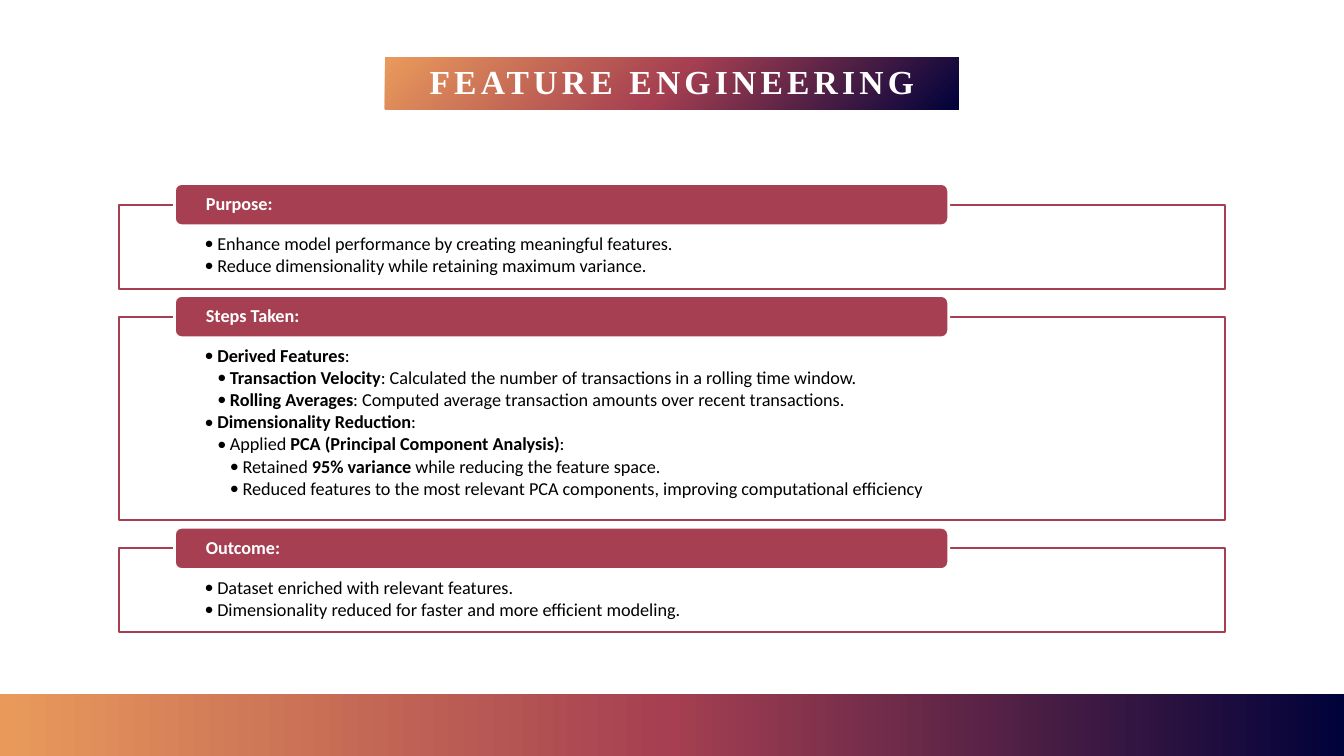
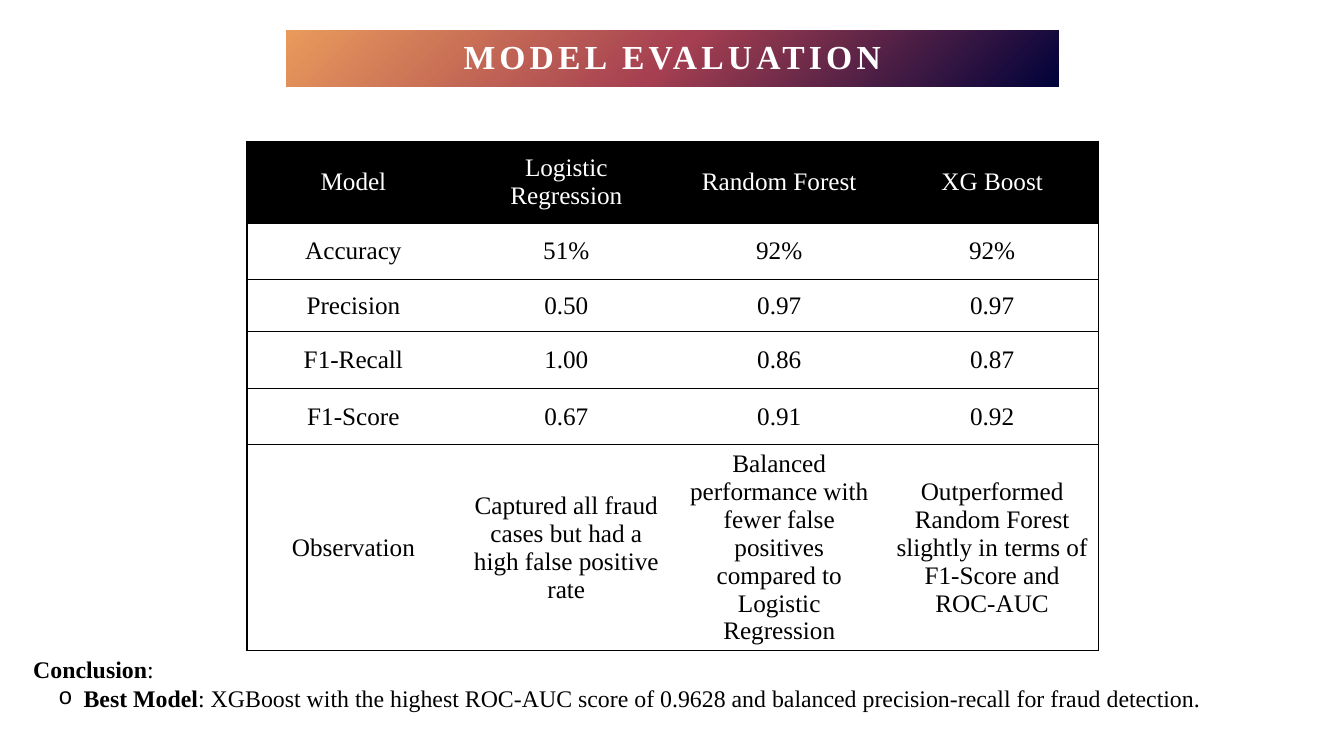
from dataclasses import dataclass
from typing import Optional

from lxml.etree import SubElement
from pptx import Presentation
from pptx.dml.color import RGBColor
from pptx.enum.shapes import MSO_SHAPE as Shape
from pptx.enum.text import MSO_ANCHOR as Anchor, PP_ALIGN as Align
from pptx.oxml import parse_xml
from pptx.oxml.ns import nsdecls, qn
from pptx.util import Pt

COLOURS = {"navy": "00023A", "wine": "A53F51", "amber": "E99A5B",
           "white": "FFFFFF", "black": "000000"}
GRADIENT_STOPS = (("navy", 0), ("wine", 50), ("amber", 100))
LEFTWARD = '<a:lin ang="10800000" scaled="0"/>'
FROM_CORNER = '<a:path path="circle"><a:fillToRect l="100000" t="100000"/></a:path>'
SANS, SERIF = "Calibri", "Times New Roman"
SLIDE_WIDTH, SLIDE_HEIGHT = 960, 540


@dataclass(frozen=True)
class Area:
    left: float
    top: float
    width: float
    height: float

    def lengths(self) -> tuple:
        return Pt(self.left), Pt(self.top), Pt(self.width), Pt(self.height)


@dataclass(frozen=True)
class Style:
    font: str
    size: float
    colour: str = "black"
    bold: bool = False
    spacing: float = 0


@dataclass(frozen=True)
class Bullet:
    char: str
    margin: float
    hang: float
    font: str


@dataclass(frozen=True)
class Line:
    level: int
    text: str  # parts between ** are bold


@dataclass(frozen=True)
class Panel:
    heading: str
    height: float
    lines: tuple


TITLE = Style(SERIF, 24, "white", bold=True, spacing=3)
HEADING = Style(SANS, 13, "white", bold=True)
BODY = Style(SANS, 13)
HEADER_CELL = Style(SERIF, 18, "white")
CELL = Style(SERIF, 18)
CONCLUSION = Style(SERIF, 17)

PANELS = (
    Panel("Purpose:", 60, (
        Line(1, "Enhance model performance by creating meaningful features."),
        Line(1, "Reduce dimensionality while retaining maximum variance."),
    )),
    Panel("Steps Taken:", 145.5, (
        Line(1, "**Derived Features**:"),
        Line(2, "**Transaction Velocity**: Calculated the number of transactions "
                "in a rolling time window."),
        Line(2, "**Rolling Averages**: Computed average transaction amounts "
                "over recent transactions."),
        Line(1, "**Dimensionality Reduction**:"),
        Line(2, "Applied **PCA (Principal Component Analysis)**:"),
        Line(3, "Retained **95% variance** while reducing the feature space."),
        Line(3, "Reduced features to the most relevant PCA components, "
                "improving computational efficiency"),
    )),
    Panel("Outcome:", 60, (
        Line(1, "Dataset enriched with relevant features."),
        Line(1, "Dimensionality reduced for faster and more efficient modeling."),
    )),
)
PANEL_LEFT, PANEL_TOP, PANEL_WIDTH, PANEL_GAP = 85, 146.2, 790, 20
TAB_LEFT, TAB_WIDTH, TAB_HEIGHT = 124.6, 553, 30.2

RESULTS = (
    ("Model", "Logistic Regression", "Random Forest", "XG Boost"),
    ("Accuracy", "51%", "92%", "92%"),
    ("Precision", "0.50", "0.97", "0.97"),
    ("F1-Recall", "1.00", "0.86", "0.87"),
    ("F1-Score", "0.67", "0.91", "0.92"),
    ("Observation",
     "Captured all fraud cases but had a high false positive rate",
     "Balanced performance with fewer false positives compared to Logistic Regression",
     "Outperformed Random Forest slightly in terms of F1-Score and ROC-AUC"),
)
ROW_HEIGHTS = (58.5, 40.5, 37, 40.5, 40.5, 147)
TABLE_AREA = Area(176.4, 100.8, 608.4, sum(ROW_HEIGHTS))


def rgb(colour: str) -> RGBColor:
    return RGBColor.from_string(COLOURS[colour])


# Text
def add_spans(para, text: str, style: Style) -> None:
    for index, part in enumerate(text.split("**")):
        if not part:
            continue
        span = para.add_run()
        span.text = part
        span.font.name, span.font.size = style.font, Pt(style.size)
        span.font.color.rgb = rgb(style.colour)
        span.font.bold = style.bold or index % 2 == 1
        if style.spacing:
            span.font._element.set("spc", str(round(style.spacing * 100)))


def add_bullet(para, bullet: Bullet) -> None:
    props = para._p.get_or_add_pPr()
    props.set("marL", str(Pt(bullet.margin)))
    props.set("indent", str(-Pt(bullet.hang)))
    SubElement(props, qn("a:buFont")).set("typeface", bullet.font)
    SubElement(props, qn("a:buChar")).set("char", bullet.char)


def set_insets(frame, side: float, top: float, bottom: float) -> None:
    frame.margin_left = frame.margin_right = Pt(side)
    frame.margin_top, frame.margin_bottom = Pt(top), Pt(bottom)
    frame.word_wrap = True


# Shapes
def add_box(page, area: Area, fill: Optional[str] = None, line: Optional[str] = None,
            weight: float = 1, kind=Shape.RECTANGLE):
    box = page.shapes.add_shape(kind, *area.lengths())
    box.shadow.inherit = False
    if fill:
        box.fill.solid()
        box.fill.fore_color.rgb = rgb(fill)
    if line:
        box.line.color.rgb = rgb(line)
        box.line.width = Pt(weight)
    else:
        box.line.fill.background()
    return box


def add_gradient_box(page, area: Area, direction: str):
    box = add_box(page, area)
    stops = "".join(
        f'<a:gs pos="{place * 1000}"><a:srgbClr val="{COLOURS[colour]}"/></a:gs>'
        for colour, place in GRADIENT_STOPS)
    gradient = parse_xml(f'<a:gradFill {nsdecls("a")} rotWithShape="1">'
                         f"<a:gsLst>{stops}</a:gsLst>{direction}</a:gradFill>")
    box._element.spPr.find(qn("a:prstGeom")).addnext(gradient)
    return box


def add_title(page, text: str, area: Area) -> None:
    frame = add_gradient_box(page, area, FROM_CORNER).text_frame
    frame.vertical_anchor = Anchor.MIDDLE
    para = frame.paragraphs[0]
    para.alignment, para.line_spacing = Align.CENTER, 0.9
    add_spans(para, text, TITLE)


def add_panel(page, panel: Panel, top: float) -> None:
    # Outlined body
    body = add_box(page, Area(PANEL_LEFT, top, PANEL_WIDTH, panel.height),
                   "white", "wine", 1.5)
    frame = body.text_frame
    frame.vertical_anchor = Anchor.TOP
    set_insets(frame, 61.2, 21.6, 7.2)
    for index, line in enumerate(panel.lines):
        para = frame.add_paragraph() if index else frame.paragraphs[0]
        para.level, para.alignment = line.level, Align.LEFT
        add_bullet(para, Bullet("•", 9 * line.level, 9, SANS))
        para.line_spacing, para.space_after = 0.9, Pt(1.7)
        add_spans(para, line.text, BODY)

    # Heading tab across the top edge
    tab = add_box(page, Area(TAB_LEFT, top - TAB_HEIGHT / 2, TAB_WIDTH, TAB_HEIGHT),
                  "wine", "white", 2, Shape.ROUNDED_RECTANGLE)
    frame = tab.text_frame
    frame.vertical_anchor = Anchor.MIDDLE
    set_insets(frame, 21, 0, 0)
    para = frame.paragraphs[0]
    para.alignment, para.line_spacing = Align.LEFT, 0.9
    add_spans(para, panel.heading, HEADING)


# Table
def set_borders(cell, left: bool, right: bool) -> None:
    props = cell._tc.get_or_add_tcPr()
    for side, shown in (("L", left), ("R", right), ("T", True), ("B", True)):
        edge = SubElement(props, qn(f"a:ln{side}"))
        edge.set("w", str(Pt(1)))
        if shown:
            fill = SubElement(edge, qn("a:solidFill"))
            SubElement(fill, qn("a:srgbClr")).set("val", COLOURS["black"])
        else:
            SubElement(edge, qn("a:noFill"))


def add_results(page) -> None:
    last = len(RESULTS[0]) - 1
    table = page.shapes.add_table(len(RESULTS), last + 1, *TABLE_AREA.lengths()).table
    for column in table.columns:
        column.width = Pt(TABLE_AREA.width / (last + 1))
    for row, (values, height) in enumerate(zip(RESULTS, ROW_HEIGHTS)):
        table.rows[row].height = Pt(height)
        for col, value in enumerate(values):
            cell = table.cell(row, col)
            cell.vertical_anchor = Anchor.MIDDLE
            set_borders(cell, left=col == 0, right=col == last)
            cell.fill.solid()
            cell.fill.fore_color.rgb = rgb("white" if row else "black")
            para = cell.text_frame.paragraphs[0]
            para.alignment = Align.CENTER
            add_spans(para, value, CELL if row else HEADER_CELL)


def add_conclusion(page) -> None:
    frame = page.shapes.add_textbox(*Area(16.6, 464.4, 901.4, 48.2).lengths()).text_frame
    frame.word_wrap = True
    add_spans(frame.paragraphs[0], "**Conclusion**:", CONCLUSION)
    para = frame.add_paragraph()
    para.level = 1
    add_bullet(para, Bullet("o", 36, 18, "Courier New"))
    add_spans(para, "**Best Model**: XGBoost with the highest ROC-AUC score of 0.9628 "
                    "and balanced precision-recall for fraud detection.", CONCLUSION)


# Slides
def build_features(page) -> None:
    add_gradient_box(page, Area(0, 496, SLIDE_WIDTH, SLIDE_HEIGHT - 496), LEFTWARD)
    top = PANEL_TOP
    for panel in PANELS:
        add_panel(page, panel, top)
        top += panel.height + PANEL_GAP
    add_title(page, "FEATURE ENGINEERING", Area(275, 41, 410, 37))


def build_evaluation(page) -> None:
    add_results(page)
    add_conclusion(page)
    add_title(page, "MODEL EVALUATION", Area(204.5, 21.6, 551.5, 40.4))


def main() -> None:
    deck = Presentation()
    deck.slide_width, deck.slide_height = Pt(SLIDE_WIDTH), Pt(SLIDE_HEIGHT)
    for build in (build_features, build_evaluation):
        build(deck.slides.add_slide(deck.slide_layouts[6]))
    deck.save("out.pptx")


if __name__ == "__main__":
    main()
